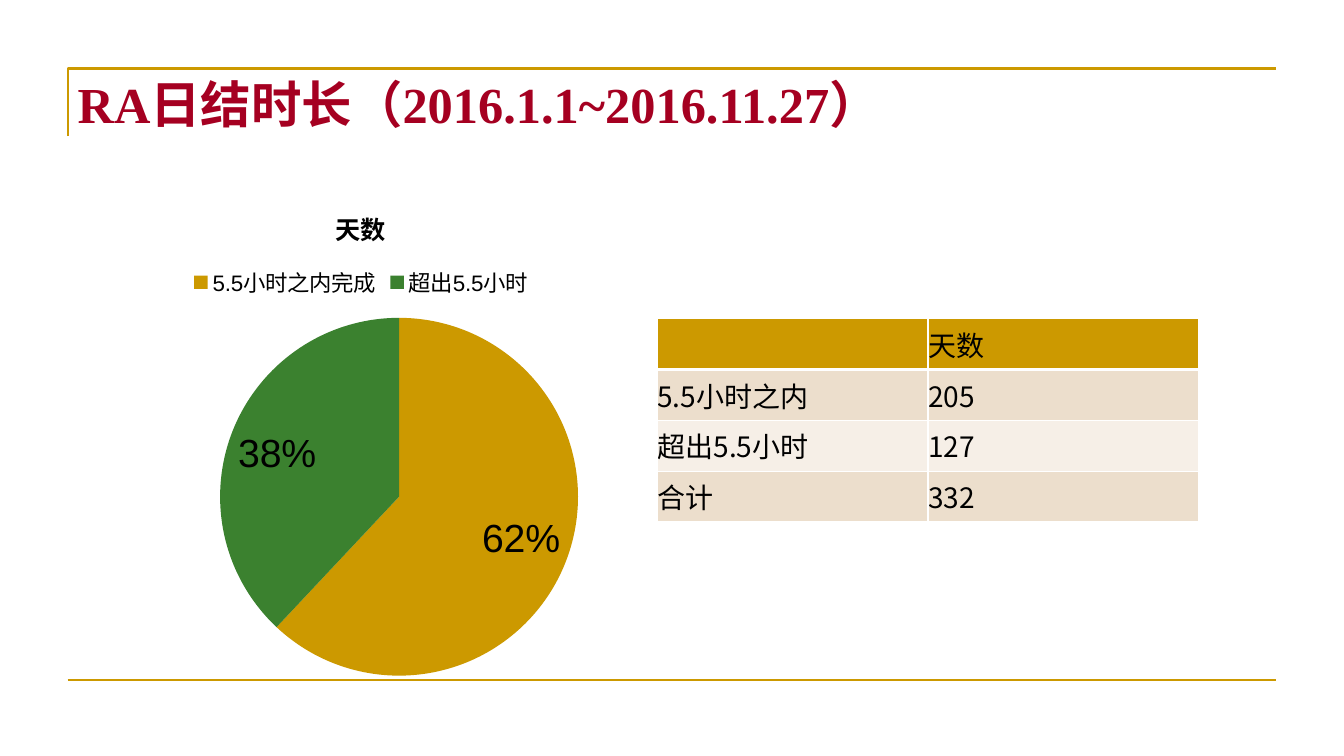
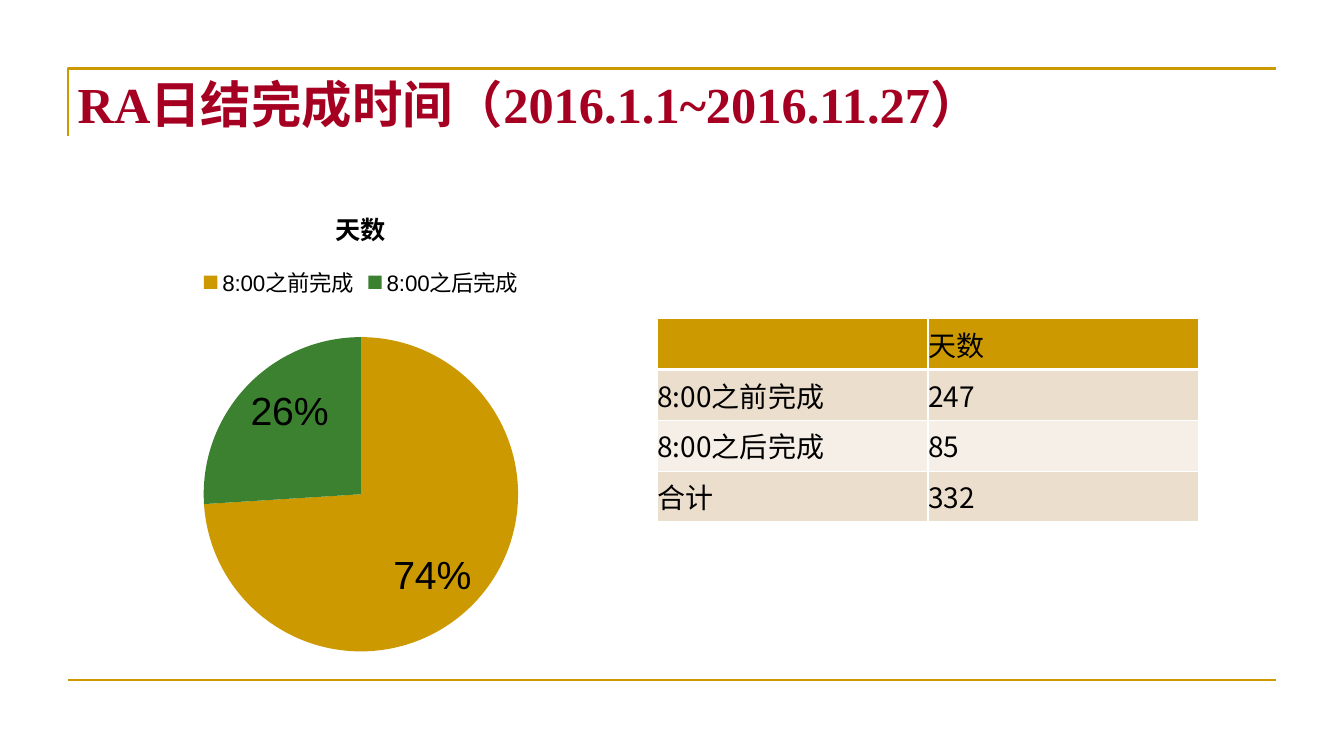
from lxml import etree
from pptx import Presentation
from pptx.chart.data import CategoryChartData
from pptx.dml.color import RGBColor
from pptx.enum.chart import XL_CHART_TYPE, XL_LABEL_POSITION, XL_LEGEND_POSITION
from pptx.enum.shapes import MSO_CONNECTOR
from pptx.enum.text import MSO_ANCHOR, MSO_AUTO_SIZE, PP_ALIGN
from pptx.oxml import parse_xml
from pptx.oxml.ns import nsdecls, qn
from pptx.util import Inches, Pt

PIE = XL_CHART_TYPE.PIE
INSIDE_END = XL_LABEL_POSITION.INSIDE_END
LEGEND_TOP = XL_LEGEND_POSITION.TOP
STRAIGHT = MSO_CONNECTOR.STRAIGHT
TOP, MIDDLE = MSO_ANCHOR.TOP, MSO_ANCHOR.MIDDLE
NO_AUTOFIT = MSO_AUTO_SIZE.NONE
LEFT = PP_ALIGN.LEFT

COLORS = {
    "gold": "CC9900", "green": "3B812F", "red": "A50021", "black": "000000",
    "white": "FFFFFF", "band_dark": "ECDECC", "band_light": "F6EFE7",
}
SANS = "Noto Sans CJK SC"
FORMATS = {
    "title": {"name": "Times New Roman", "size": Pt(36), "bold": True, "color": "red"},
    "cell": {"name": SANS, "size": Pt(20), "bold": False, "color": "black"},
    "chart": {"name": "Arial", "size": Pt(10), "color": "black"},
    "chart_title": {"name": "Arial", "size": Pt(18), "bold": True, "color": "black"},
    "legend": {"name": "Arial", "size": Pt(16), "color": "black"},
    "label": {"name": "Arial", "size": Pt(28), "color": "black"},
}
SLICE_COLORS = ["gold", "green"]
ROW_COLORS = ["gold", "band_dark", "band_light", "band_dark"]

WIDTH, HEIGHT = 13.33, 7.5
MARGIN = 0.67
FRAME_TOP, FRAME_BOTTOM, FRAME_DROP = 0.68, HEIGHT * 0.9, 0.67
FRAME_RIGHT = WIDTH - MARGIN
TITLE_BOX = (MARGIN, FRAME_TOP, 12, 1.25)
CHART_BOX = (MARGIN, 1.86, 5.82, 4.95)
TABLE_BOX = (6.52, 3.16, 5.37, 2.02)

SLIDES = [
    {
        "title": "RA日结时长（2016.1.1~2016.11.27）",
        "shares": [("5.5小时之内完成", 62), ("超出5.5小时", 38)],
        "pie": {"x": 0.26, "y": 0.26, "w": 0.61, "h": 0.72},
        "rows": [("", "天数"), ("5.5小时之内", "205"), ("超出5.5小时", "127"), ("合计", "332")],
    },
    {
        "title": "RA日结完成时间（2016.1.1~2016.11.27）",
        "shares": [("8:00之前完成", 74), ("8:00之后完成", 26)],
        "pie": {"x": 0.23, "y": 0.3, "w": 0.54, "h": 0.63},
        "rows": [("", "天数"), ("8:00之前完成", "247"), ("8:00之后完成", "85"), ("合计", "332")],
    },
]


def rgb(name):
    return RGBColor.from_string(COLORS[name])


def inches(box):
    return [Inches(value) for value in box]


def set_values(target, values):
    for name, value in values.items():
        setattr(target, name, value)


def format_font(font, style):
    for name, value in FORMATS[style].items():
        if name == "color":
            font.color.rgb = rgb(value)
        else:
            setattr(font, name, value)


def write_run(paragraph, text, style):
    run = paragraph.add_run()
    run.text = text
    format_font(run.font, style)
    latin = run.font._element.find(qn("a:latin"))
    latin.addnext(parse_xml(f'<a:ea {nsdecls("a")} typeface="{SANS}"/>'))


def format_line(shape):
    shape.line.color.rgb = rgb("gold")
    shape.line.width = Pt(1.5)


def add_frame(slide):
    builder = slide.shapes.build_freeform(
        Inches(MARGIN), Inches(FRAME_TOP + FRAME_DROP))
    corner = [(MARGIN, FRAME_TOP), (FRAME_RIGHT, FRAME_TOP)]
    builder.add_line_segments([inches(point) for point in corner], close=False)
    bracket = builder.convert_to_shape()
    bracket.fill.background()
    bracket.shadow.inherit = False
    format_line(bracket)
    rule = slide.shapes.add_connector(
        STRAIGHT, *inches((MARGIN, FRAME_BOTTOM, FRAME_RIGHT, FRAME_BOTTOM)))
    format_line(rule)
    etree.SubElement(rule._element.spPr, qn("a:effectLst"))


def add_title(slide, text):
    title = slide.shapes.title
    set_values(title, dict(zip(("left", "top", "width", "height"), inches(TITLE_BOX))))
    set_values(title.text_frame, {
        "vertical_anchor": TOP, "auto_size": NO_AUTOFIT, "word_wrap": True})
    paragraph = title.text_frame.paragraphs[0]
    paragraph.alignment = LEFT
    write_run(paragraph, text, "title")


def add_borders(cell, bottom_width):
    properties = cell._tc.get_or_add_tcPr()
    for side, points in (("L", 1), ("R", 1), ("T", 1), ("B", bottom_width)):
        properties.append(parse_xml(
            f'<a:ln{side} {nsdecls("a")} w="{Pt(points)}"><a:solidFill>'
            f'<a:srgbClr val="{COLORS["white"]}"/></a:solidFill></a:ln{side}>'))


def add_day_table(slide, rows):
    table = slide.shapes.add_table(len(rows), len(rows[0]), *inches(TABLE_BOX)).table
    for row_index, row in enumerate(rows):
        for column_index, text in enumerate(row):
            cell = table.cell(row_index, column_index)
            set_values(cell, {
                "margin_left": 0, "margin_right": 0, "margin_top": 0,
                "margin_bottom": 0, "vertical_anchor": MIDDLE})
            add_borders(cell, 3 if row_index == 0 else 1)
            cell.fill.solid()
            cell.fill.fore_color.rgb = rgb(ROW_COLORS[row_index])
            if text:
                write_run(cell.text_frame.paragraphs[0], text, "cell")


def place_pie(chart, pie):
    plot_area = chart._chartSpace.chart.plotArea
    for layout in plot_area.findall(qn("c:layout")):
        plot_area.remove(layout)
    modes = '<c:xMode val="edge"/><c:yMode val="edge"/>'
    shares = "".join(f'<c:{name} val="{share}"/>' for name, share in pie.items())
    plot_area.insert(0, parse_xml(
        f'<c:layout {nsdecls("c")}><c:manualLayout><c:layoutTarget val="inner"/>'
        f'{modes}{shares}</c:manualLayout></c:layout>'))


def add_day_chart(slide, shares, pie):
    chart_data = CategoryChartData()
    chart_data.categories = [category for category, share in shares]
    chart_data.add_series("天数", [share for category, share in shares])
    chart = slide.shapes.add_chart(PIE, *inches(CHART_BOX), chart_data).chart
    format_font(chart.font, "chart")
    write_run(chart.chart_title.text_frame.paragraphs[0], "天数", "chart_title")
    chart.has_legend = True
    set_values(chart.legend, {"position": LEGEND_TOP, "include_in_layout": False})
    format_font(chart.legend.font, "legend")
    plot = chart.plots[0]
    plot.vary_by_categories = True
    for index, color in enumerate(SLICE_COLORS):
        piece = plot.series[0].points[index].format
        piece.fill.solid()
        piece.fill.fore_color.rgb = rgb(color)
        piece.line.fill.background()
    labels = plot.series[0].data_labels
    set_values(labels, {
        "show_percentage": True, "show_value": False, "number_format": "0%",
        "number_format_is_linked": False, "position": INSIDE_END})
    format_font(labels.font, "label")
    place_pie(chart, pie)


def main():
    presentation = Presentation()
    presentation.slide_width = Inches(WIDTH)
    presentation.slide_height = Inches(HEIGHT)
    title_only = presentation.slide_layouts[5]
    for content in SLIDES:
        slide = presentation.slides.add_slide(title_only)
        add_frame(slide)
        add_title(slide, content["title"])
        add_day_table(slide, content["rows"])
        add_day_chart(slide, content["shares"], content["pie"])
    presentation.save("out.pptx")


if __name__ == "__main__":
    main()
